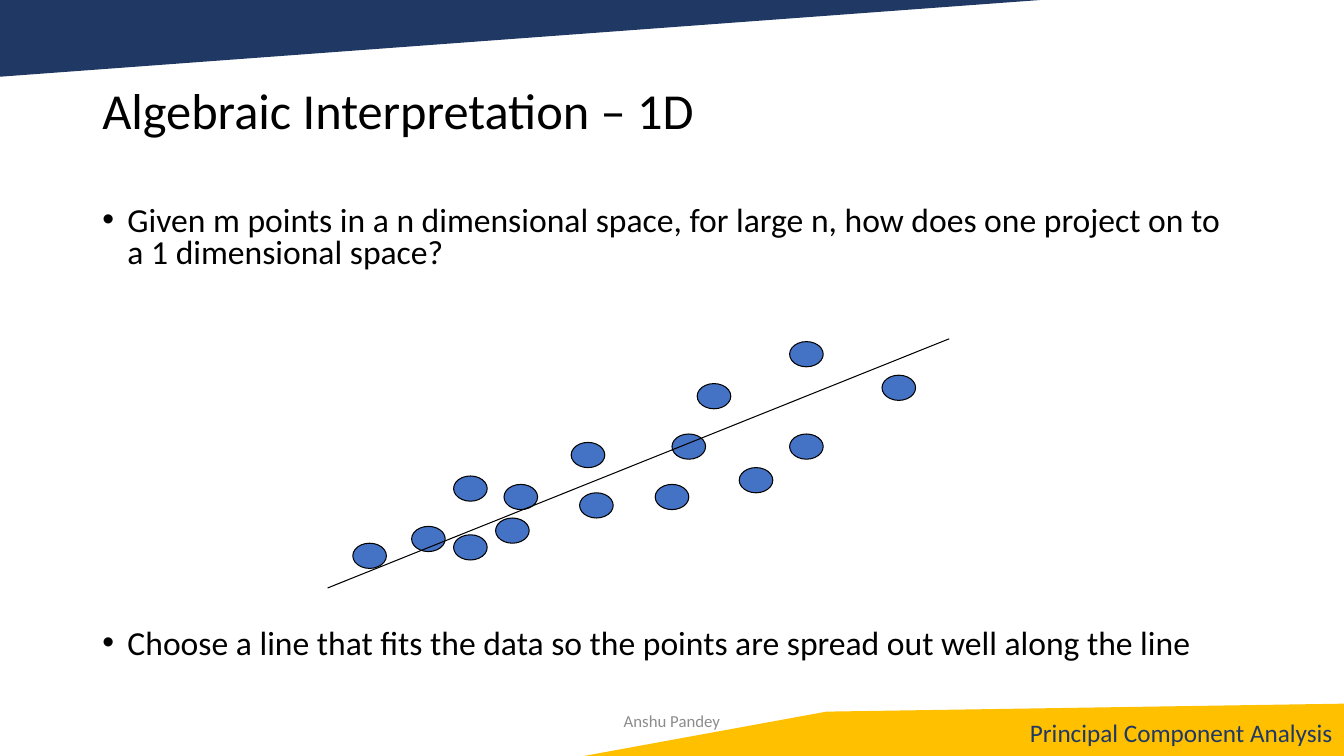
"""Build the slide on the one-dimensional reading of principal components."""
from dataclasses import dataclass
from typing import NamedTuple

from lxml import etree
from pptx import Presentation
from pptx.dml.color import RGBColor
from pptx.enum.shapes import MSO_CONNECTOR, MSO_SHAPE
from pptx.enum.text import MSO_ANCHOR, PP_ALIGN
from pptx.oxml.ns import qn
from pptx.shapes.autoshape import Shape
from pptx.slide import Slide
from pptx.util import Pt

ELLIPSE = MSO_SHAPE.OVAL
RIGHT_TRIANGLE = MSO_SHAPE.RIGHT_TRIANGLE
STRAIGHT = MSO_CONNECTOR.STRAIGHT
TOP, MIDDLE = MSO_ANCHOR.TOP, MSO_ANCHOR.MIDDLE
LEFT, CENTER, RIGHT = PP_ALIGN.LEFT, PP_ALIGN.CENTER, PP_ALIGN.RIGHT


@dataclass(frozen=True)
class Theme:
    """Colours, font and type sizes of the slide."""
    font: str = "Calibri"
    ink: RGBColor = RGBColor(0x00, 0x00, 0x00)
    navy: RGBColor = RGBColor(0x20, 0x38, 0x64)
    gold: RGBColor = RGBColor(0xFF, 0xC0, 0x00)
    point: RGBColor = RGBColor(0x44, 0x72, 0xC4)
    muted: RGBColor = RGBColor(0x8C, 0x8C, 0x8C)
    title_size: float = 36
    body_size: float = 24
    topic_size: float = 18
    footer_size: float = 12
    outline: float = 0.75


class Point(NamedTuple):
    """A place on the slide, in points."""
    x: float
    y: float


@dataclass(frozen=True)
class Label:
    """A text block with its place and its look."""
    text: str
    left: float
    top: float
    width: float
    height: float
    size: float
    color: RGBColor
    align: PP_ALIGN = LEFT
    anchor: MSO_ANCHOR = MIDDLE
    line_spacing: float = 1.0


THEME = Theme()
SLIDE_WIDTH, SLIDE_HEIGHT = 960, 540
POINT_WIDTH, POINT_HEIGHT = 24, 18
BULLET_INDENT = 18
BULLET_GAPS = (10, 256)
HEADER_WIDTH, HEADER_HEIGHT = 743, 54.8

DATA_POINTS = (
    Point(294, 376), Point(630, 268), Point(324, 340), Point(414, 352),
    Point(324, 382), Point(408, 316), Point(564, 244), Point(468, 346),
    Point(528, 334), Point(564, 310), Point(480, 310), Point(498, 274),
    Point(252, 388), Point(354, 370), Point(360, 346),
)
FIT_START, FIT_END = Point(234, 420), Point(678, 242)
BANNER = (Point(SLIDE_WIDTH, SLIDE_HEIGHT), Point(SLIDE_WIDTH, 502.6),
          Point(590.4, 508.3), Point(417, SLIDE_HEIGHT))

TITLE = Label("Algebraic Interpretation – 1D", 66, 28.8, 828, 104.4,
              THEME.title_size, THEME.ink, line_spacing=0.9)
BODY = Label(
    "Given m points in a n dimensional space, for large n, how does one "
    "project on to a 1 dimensional space?\n"
    "Choose a line that fits the data so the points are spread out well "
    "along the line",
    66, 144, 828, 342.7, THEME.body_size, THEME.ink, anchor=TOP,
    line_spacing=0.8)
TOPIC = Label("Principal Component Analysis", 700, 508, 259, 30,
              THEME.topic_size, THEME.navy, align=RIGHT)
FOOTER = Label("Anshu Pandey", 318, 500.4, 324, 28.8,
               THEME.footer_size, THEME.muted, align=CENTER)


def add_label(slide: Slide, label: Label) -> Shape:
    """Add a text block and return it."""
    box = slide.shapes.add_textbox(Pt(label.left), Pt(label.top),
                                   Pt(label.width), Pt(label.height))
    frame = box.text_frame
    frame.word_wrap = True
    frame.vertical_anchor = label.anchor
    frame.text = label.text
    for paragraph in frame.paragraphs:
        paragraph.alignment = label.align
        paragraph.line_spacing = label.line_spacing
        for run in paragraph.runs:
            run.font.name = THEME.font
            run.font.size = Pt(label.size)
            run.font.color.rgb = label.color
    return box


def add_bullets(body: Shape) -> None:
    """Turn the body paragraphs into spaced bullets."""
    for paragraph, gap in zip(body.text_frame.paragraphs, BULLET_GAPS):
        paragraph.space_before = Pt(gap)
        properties = paragraph._p.get_or_add_pPr()
        properties.set("marL", str(Pt(BULLET_INDENT)))
        properties.set("indent", str(-Pt(BULLET_INDENT)))
        etree.SubElement(properties, qn("a:buFont"), typeface="Arial")
        etree.SubElement(properties, qn("a:buChar"), char="•")


def paint(shape: Shape, color: RGBColor) -> None:
    """Give a shape a plain fill without line or shadow."""
    shape.shadow.inherit = False
    shape.fill.solid()
    shape.fill.fore_color.rgb = color
    shape.line.fill.background()


def add_data_point(slide: Slide, corner: Point) -> None:
    """Add one outlined data point."""
    dot = slide.shapes.add_shape(ELLIPSE, Pt(corner.x), Pt(corner.y),
                                 Pt(POINT_WIDTH), Pt(POINT_HEIGHT))
    paint(dot, THEME.point)
    dot.line.color.rgb = THEME.ink
    dot.line.width = Pt(THEME.outline)


def add_fit_line(slide: Slide, start: Point, end: Point) -> None:
    """Add the line fitted through the data points."""
    fit = slide.shapes.add_connector(STRAIGHT, Pt(start.x), Pt(start.y),
                                     Pt(end.x), Pt(end.y))
    fit.line.color.rgb = THEME.ink
    fit.line.width = Pt(THEME.outline)
    etree.SubElement(fit._element.spPr, qn("a:effectLst"))


def add_banner(slide: Slide) -> None:
    """Add the gold band at the foot of the slide."""
    first, *others = [(Pt(corner.x), Pt(corner.y)) for corner in BANNER]
    builder = slide.shapes.build_freeform(*first)
    builder.add_line_segments(others, close=True)
    paint(builder.convert_to_shape(), THEME.gold)


def add_header(slide: Slide) -> None:
    """Add the navy wedge as a right triangle turned into the top left corner."""
    offset = (HEADER_WIDTH - HEADER_HEIGHT) / 2
    wedge = slide.shapes.add_shape(RIGHT_TRIANGLE, Pt(offset), Pt(-offset),
                                   Pt(HEADER_HEIGHT), Pt(HEADER_WIDTH))
    wedge.rotation = 90
    paint(wedge, THEME.navy)


def main() -> None:
    """Build and save the slide."""
    deck = Presentation()
    deck.slide_width, deck.slide_height = Pt(SLIDE_WIDTH), Pt(SLIDE_HEIGHT)
    slide = deck.slides.add_slide(deck.slide_layouts[6])
    add_label(slide, TITLE)
    add_bullets(add_label(slide, BODY))
    for corner in DATA_POINTS:
        add_data_point(slide, corner)
    add_fit_line(slide, FIT_START, FIT_END)
    add_banner(slide)
    add_header(slide)
    add_label(slide, TOPIC)
    add_label(slide, FOOTER)
    deck.save("out.pptx")


if __name__ == "__main__":
    main()
